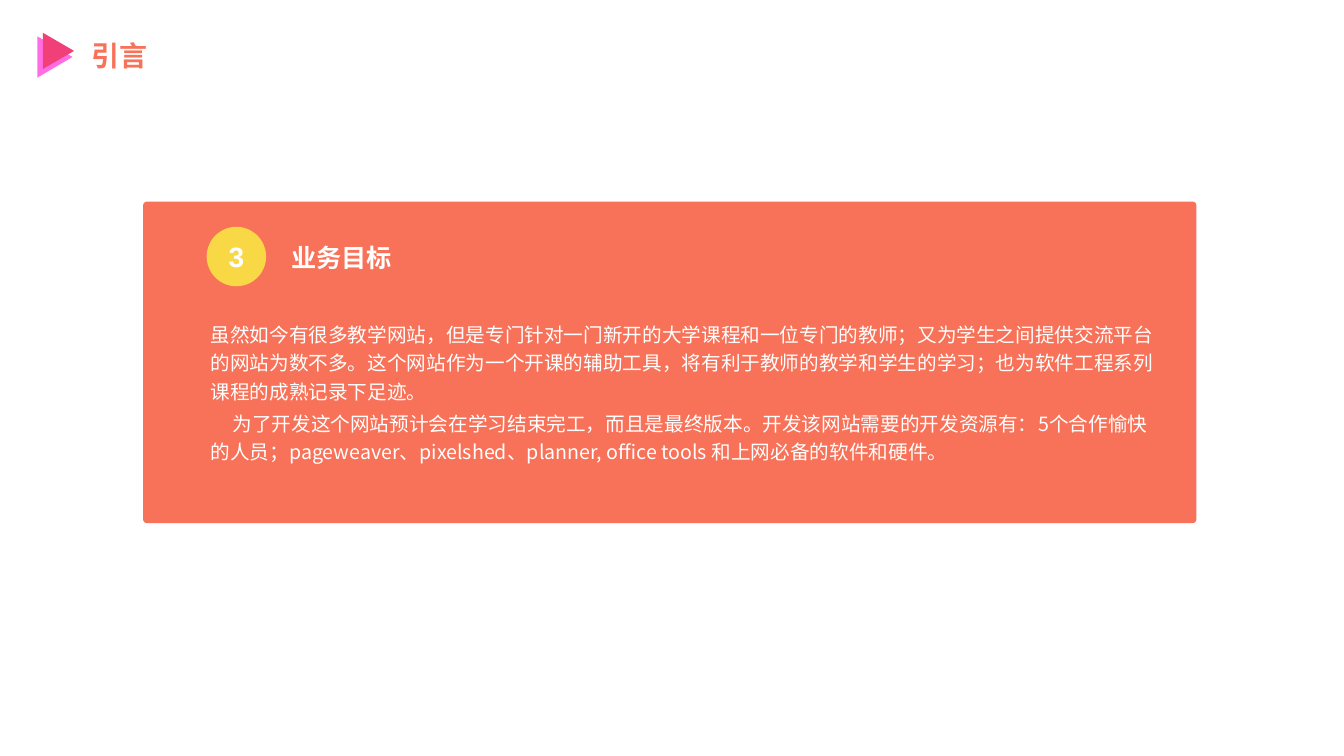
from pptx import Presentation
from pptx import util as u
from pptx.dml.color import RGBColor
from pptx.enum import shapes, text
from pptx.oxml.ns import qn
from lxml import etree

# Content
CORAL, YELLOW, WHITE = "F77258", "F8D845", "FFFFFF"
CJK, LATIN = "Noto Sans CJK SC", "Arial"
TITLE, NUMBER, HEADING = "引言", "3", "业务目标"
GOALS = [
    "虽然如今有很多教学网站,但是专门针对一门新开的大学课程和一位专门的教师;"
    "又为学生之间提供交流平台的网站为数不多。这个网站作为一个开课的辅助工具,"
    "将有利于教师的教学和学生的学习;也为软件工程系列课程的成熟记录下足迹。",
    "为了开发这个网站预计会在学习结束完工,而且是最终版本。开发该网站需要的开发资源有:"
    "5个合作愉快的人员;pageweaver、pixelshed、planner, office tools 和上网必备的软件和硬件。",
]
GOALS = [goal.replace(",而", "\uff0c而").replace(",但", "\uff0c但").replace(",将", "\uff0c将")
         .replace(";", "\uff1b").replace(":", "\uff1a") for goal in GOALS]
INDENTS = [0, 15.7]

# Shapes: kind, place in points, fill, rotation
KINDS = shapes.MSO_SHAPE
MARKS = [
    (KINDS.ISOSCELES_TRIANGLE, (24.5, 28.1, 29.5, 25.2), "FF6CE4", 90),
    (KINDS.ISOSCELES_TRIANGLE, (28.8, 25.2, 25.9, 22.3), "F04077", 90),
]
CARD = (KINDS.ROUNDED_RECTANGLE, (102.2, 144, 752.4, 229.7), CORAL, 0)
BADGE = (KINDS.OVAL, (147.6, 162, 42.5, 42.5), YELLOW, 0)


def color(value):
    return RGBColor.from_string(value)


def points(values):
    return [u.Pt(value) for value in values]


def add_mark(kind, place, fill, rotation):
    shape = page.shapes.add_shape(kind, *points(place))
    shape.shadow.inherit = False
    shape.rotation = rotation
    shape.fill.solid()
    shape.fill.fore_color.rgb = color(fill)
    shape.line.fill.background()
    return shape


def write(box, lines, size, font, fill, bold=False, indents=(0,), **layout):
    frame = box.text_frame
    frame.word_wrap = True
    for index, (line, indent) in enumerate(zip(lines, indents)):
        para = frame.paragraphs[0] if index == 0 else frame.add_paragraph()
        for name, value in layout.items():
            setattr(para, name, value)
        if indent:
            para._p.get_or_add_pPr().set("indent", str(u.Pt(indent)))
        span = para.add_run()
        span.text = line
        for name, value in dict(size=u.Pt(size), name=font, bold=bold).items():
            setattr(span.font, name, value)
        span.font.color.rgb = color(fill)
        # East Asian typeface
        etree.SubElement(span.font._element, qn("a:ea"), typeface=CJK)


def add_text(place, lines, *style, **layout):
    box = page.shapes.add_textbox(*points(place))
    write(box, lines, *style, **layout)


deck = Presentation()
deck.slide_width, deck.slide_height = points((960, 540))
page = deck.slides.add_slide(deck.slide_layouts[6])

# Page title with its double triangle
add_text((58.3, 23.8, 159.8, 31.7), [TITLE], 20, CJK, CORAL, True)
for mark in MARKS:
    add_mark(*mark)

# Card with numbered badge
card = add_mark(*CARD)
card.adjustments[0] = 0.012
badge = add_mark(*BADGE)
badge.text_frame.vertical_anchor = text.MSO_ANCHOR.MIDDLE
write(badge, [NUMBER], 20, LATIN, WHITE, True, alignment=text.PP_ALIGN.CENTER)

# Goals and their heading
add_text((143.3, 223.9, 691.9, 110.9), GOALS, 14, CJK, WHITE,
         indents=INDENTS, line_spacing=1.2, space_before=u.Pt(2.8))
add_text((200.9, 169.2, 154.8, 28.8), [HEADING], 18, LATIN, WHITE, True,
         space_before=u.Pt(3.6))

deck.save("out.pptx")
